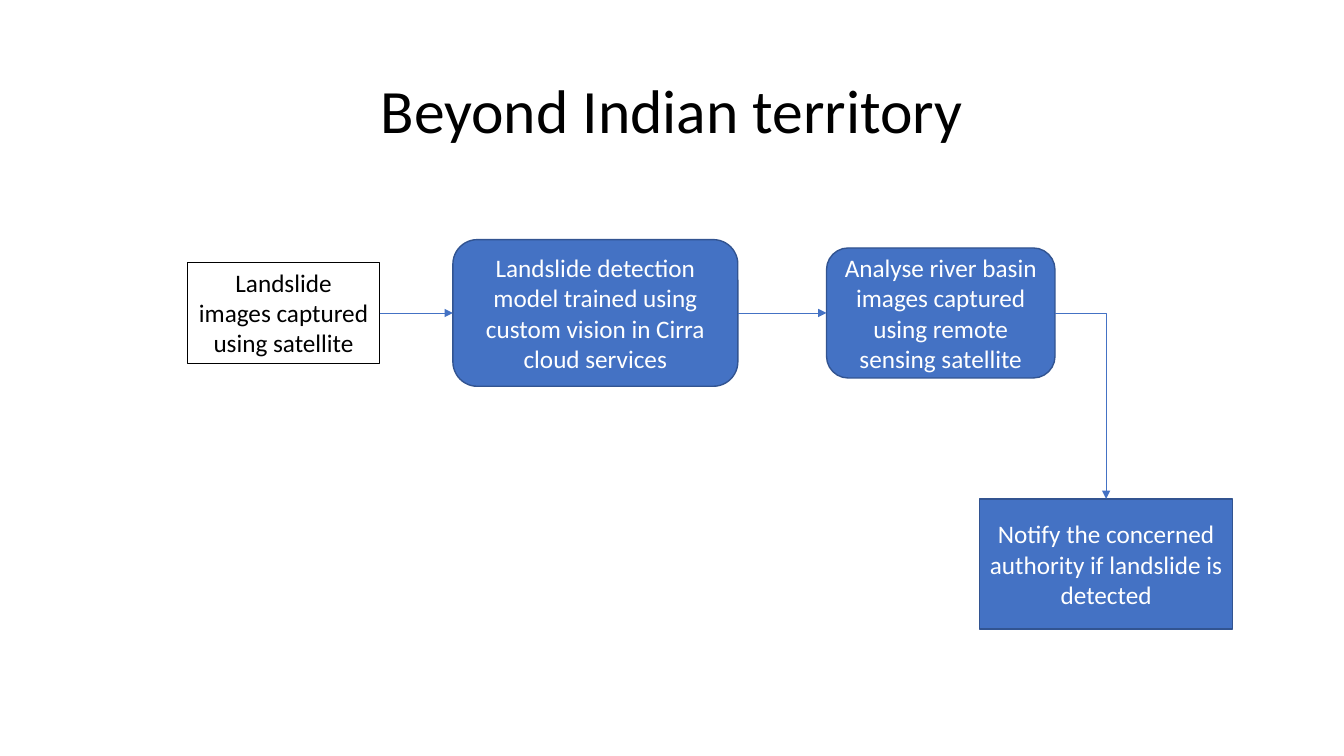
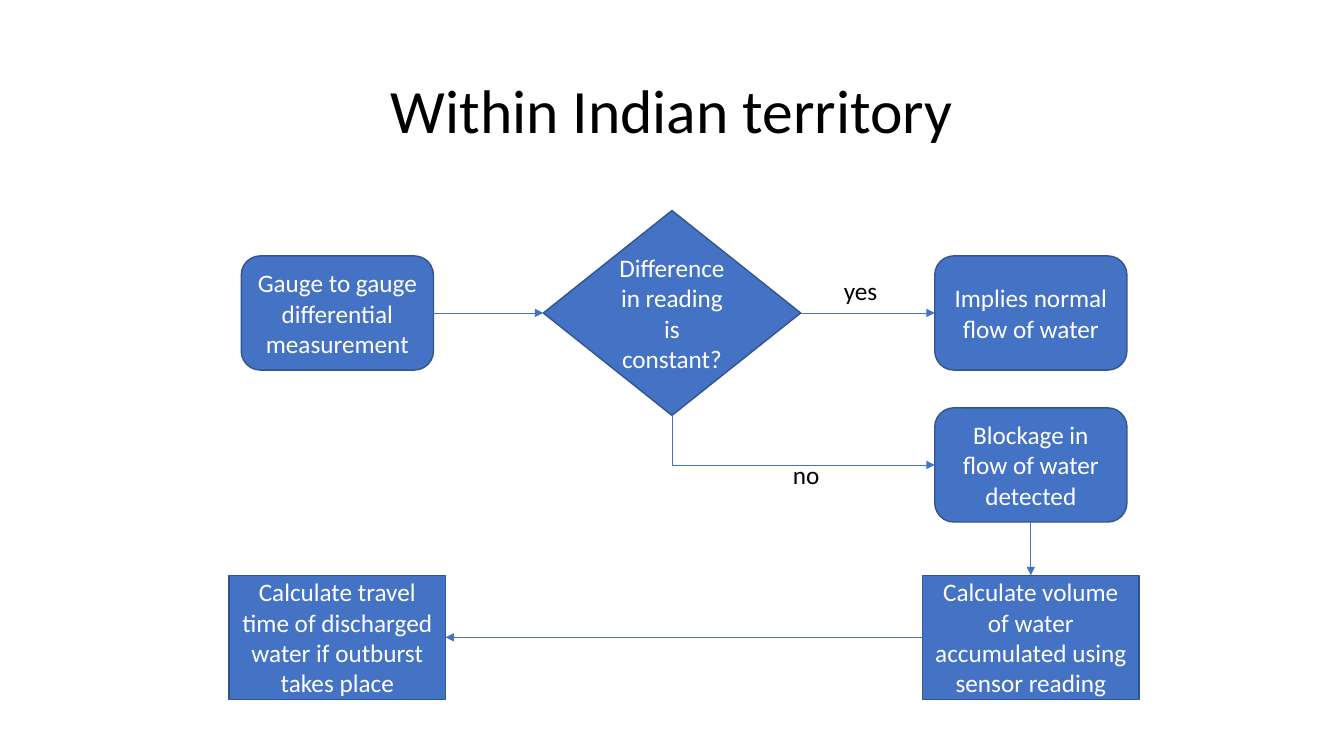
"""Build two flowchart slides on flood monitoring inside and outside Indian territory."""
from lxml.etree import SubElement
from pptx import Presentation
from pptx.dml.color import RGBColor
from pptx.enum.shapes import MSO_CONNECTOR as Link, MSO_SHAPE as Shape
from pptx.enum.text import MSO_ANCHOR as Anchor, MSO_AUTO_SIZE as Fit, PP_ALIGN as Align
from pptx.oxml.ns import qn
from pptx.util import Inches, Pt

WIDTH, HEIGHT = Inches(13.333), Inches(7.5)
COLORS = {"blue": "4472C4", "edge": "325491", "black": "000000", "white": "FFFFFF"}
FRAMES = {
    "title": {"vertical_anchor": Anchor.MIDDLE, "word_wrap": True},
    "box": {"vertical_anchor": Anchor.MIDDLE, "word_wrap": True},
    "growing": {"vertical_anchor": Anchor.TOP, "word_wrap": True,
                "auto_size": Fit.SHAPE_TO_FIT_TEXT},
}
PARAGRAPHS = {
    "title": {"alignment": Align.CENTER, "line_spacing": 0.9},
    "box": {"alignment": Align.CENTER},
    "label": {"alignment": Align.LEFT},
}
FONTS = {
    "title": {"name": "Calibri", "size": Pt(44)},
    "body": {"name": "Calibri", "size": Pt(18)},
}
TITLE_PLACE = (50, 15, 86.25, 19.33)
MAIN_ROW, BLOCKAGE_ROW, RESULT_ROW, NOTICE_ROW = 41.4, 61.5, 84.3, 74.6
LEFT_COLUMN, MIDDLE_COLUMN, RIGHT_COLUMN = 25.1, 50, 76.7
STEP, RESULT = (14.3, 15.1), (16.1, 16.4)
SITES = {"top": (0, 0.5, 0), "left": (1, 0, 0.5), "bottom": (2, 0.5, 1), "right": (3, 1, 0.5)}


def color(name):
    return RGBColor.from_string(COLORS[name])


def apply(target, values):
    for name, value in values.items():
        setattr(target, name, value)


def frame(center_x, center_y, width, height):
    shares = ((center_x - width / 2, WIDTH), (center_y - height / 2, HEIGHT),
              (width, WIDTH), (height, HEIGHT))
    return [round(share * length / 100) for share, length in shares]


def write(box, text, text_frame, paragraph, font, text_color):
    apply(box.text_frame, FRAMES[text_frame])
    para = box.text_frame.paragraphs[0]
    apply(para, PARAGRAPHS[paragraph])
    span = para.add_run()
    span.text = text
    apply(span.font, FONTS[font])
    span.font.color.rgb = color(text_color)


def add_page(deck, title):
    page = deck.slides.add_slide(deck.slide_layouts[5])
    box = page.shapes.title
    apply(box, dict(zip(("left", "top", "width", "height"), frame(*TITLE_PLACE))))
    write(box, title, "title", "title", "title", "black")
    return page


def add_box(page, kind, text, place, filled=True):
    box = page.shapes.add_shape(kind, *frame(*place))
    box.shadow.inherit = False
    if filled:
        box.fill.solid()
        box.fill.fore_color.rgb = color("blue")
    else:
        box.fill.background()
    box.line.color.rgb = color("edge" if filled else "black")
    box.line.width = Pt(1 if filled else 0.75)
    write(box, text, "box" if filled else "growing", "box", "body",
          "white" if filled else "black")
    return box


def add_label(page, text, place):
    box = page.shapes.add_textbox(*frame(*place))
    write(box, text, "growing", "label", "body", "black")


def site_point(box, side):
    _, across, down = SITES[side]
    return round(box.left + across * box.width), round(box.top + down * box.height)


def style_arrow(arrow):
    arrow.line.color.rgb = color("blue")
    arrow.line.width = Pt(0.5)
    SubElement(arrow.line._get_or_add_ln(), qn("a:tailEnd"), type="triangle")
    SubElement(arrow._element.spPr, qn("a:effectLst"))


def add_arrow(page, start, start_side, end, end_side):
    points = site_point(start, start_side) + site_point(end, end_side)
    arrow = page.shapes.add_connector(Link.STRAIGHT, *points)
    arrow.begin_connect(start, SITES[start_side][0])
    arrow.end_connect(end, SITES[end_side][0])
    style_arrow(arrow)


def add_elbow(page, start, start_side, end, end_side):
    x1, y1 = site_point(start, start_side)
    x2, y2 = site_point(end, end_side)
    down_first = start_side == "bottom"
    if down_first:
        middle_x, middle_y = (x1 + x2) // 2, (y1 + y2) // 2
        half_x, half_y = (y2 - y1) // 2, (x2 - x1) // 2
        x1, x2 = middle_x + half_x, middle_x - half_x
        y1, y2 = middle_y - half_y, middle_y + half_y
    arrow = page.shapes.add_connector(Link.ELBOW, x1, y1, x2, y2)
    properties = arrow._element.spPr
    properties.find(qn("a:prstGeom")).set("prst", "bentConnector2")
    if down_first:
        properties.find(qn("a:xfrm")).set("rot", str(270 * 60000))
    style_arrow(arrow)


def build_beyond(deck):
    page = add_page(deck, "Beyond Indian territory")
    model = add_box(page, Shape.ROUNDED_RECTANGLE,
                    "Landslide detection model trained using custom vision in Cirra cloud services",
                    (44.3, MAIN_ROW, 21.2, 19.4))
    images = add_box(page, Shape.RECTANGLE, "Landslide images captured using satellite",
                     (21.1, MAIN_ROW, 14.3, 13.4), filled=False)
    analysis = add_box(page, Shape.ROUNDED_RECTANGLE,
                       "Analyse river basin images captured using remote sensing satellite",
                       (70, MAIN_ROW, 17, 17.2))
    notice = add_box(page, Shape.RECTANGLE,
                     "Notify the concerned authority if landslide is detected",
                     (82.3, NOTICE_ROW, 18.8, 17.2))
    add_arrow(page, images, "right", model, "left")
    add_arrow(page, model, "right", analysis, "left")
    add_elbow(page, analysis, "right", notice, "top")


def build_within(deck):
    page = add_page(deck, "Within Indian territory")
    gauge = add_box(page, Shape.ROUNDED_RECTANGLE, "Gauge to gauge differential measurement",
                    (LEFT_COLUMN, MAIN_ROW, *STEP))
    normal = add_box(page, Shape.ROUNDED_RECTANGLE, "Implies normal flow of water",
                     (RIGHT_COLUMN, MAIN_ROW, *STEP))
    decision = add_box(page, Shape.DIAMOND, "Difference in reading is constant?",
                       (MIDDLE_COLUMN, MAIN_ROW, 19.15, 27.1))
    blockage = add_box(page, Shape.ROUNDED_RECTANGLE, "Blockage in flow of water detected",
                       (RIGHT_COLUMN, BLOCKAGE_ROW, *STEP))
    volume = add_box(page, Shape.RECTANGLE,
                     "Calculate volume of water accumulated using sensor reading",
                     (RIGHT_COLUMN, RESULT_ROW, *RESULT))
    travel = add_box(page, Shape.RECTANGLE,
                     "Calculate travel time of discharged water if outburst takes place",
                     (LEFT_COLUMN, RESULT_ROW, *RESULT))
    add_arrow(page, gauge, "right", decision, "left")
    add_arrow(page, decision, "right", normal, "left")
    add_elbow(page, decision, "bottom", blockage, "left")
    add_arrow(page, blockage, "bottom", volume, "top")
    add_arrow(page, volume, "left", travel, "right")
    add_label(page, "yes", (65.7, 38.4, 7.3, 5.3))
    add_label(page, "no", (61.5, 62.8, 6.5, 5.3))


def main():
    deck = Presentation()
    apply(deck, {"slide_width": WIDTH, "slide_height": HEIGHT})
    build_beyond(deck)
    build_within(deck)
    deck.save("out.pptx")


if __name__ == "__main__":
    main()
